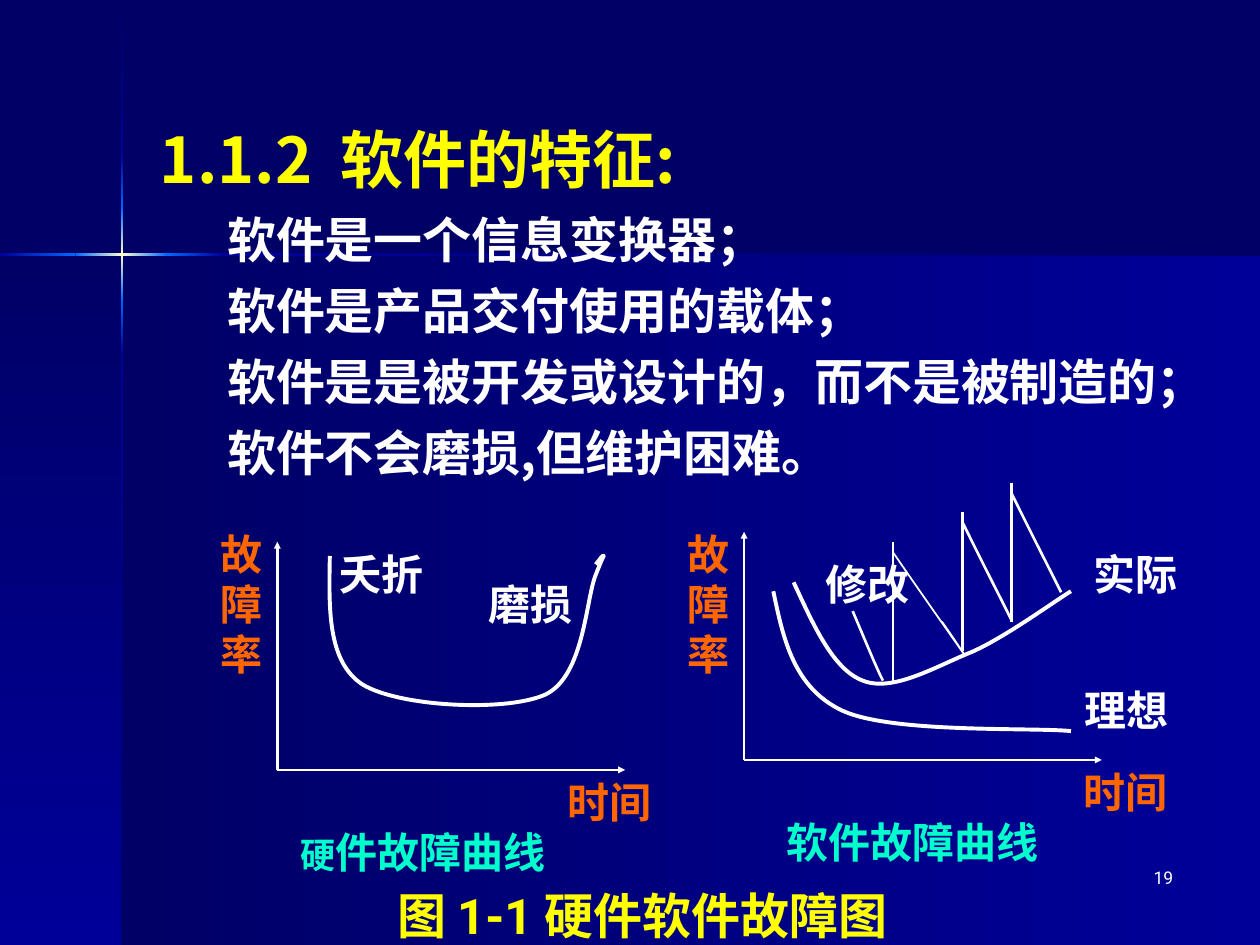
from lxml import etree
from pptx import Presentation
from pptx.dml.color import RGBColor
from pptx.enum.shapes import MSO_CONNECTOR, MSO_SHAPE
from pptx.enum.text import MSO_ANCHOR, PP_ALIGN
from pptx.oxml.ns import qn
from pptx.util import Cm, Pt

STRAIGHT = MSO_CONNECTOR.STRAIGHT
RECTANGLE = MSO_SHAPE.RECTANGLE
TOP = MSO_ANCHOR.TOP
LEFT, CENTER, RIGHT = PP_ALIGN.LEFT, PP_ALIGN.CENTER, PP_ALIGN.RIGHT

NAVY = RGBColor(0x00, 0x00, 0x66)
BLUE = RGBColor(0x00, 0x00, 0x99)
BRIGHT = RGBColor(0x00, 0x66, 0xFF)
CREAM = RGBColor(0xFF, 0xFF, 0xCC)
WHITE = RGBColor(0xFF, 0xFF, 0xFF)
YELLOW = RGBColor(0xFF, 0xFF, 0x00)
ORANGE = RGBColor(0xFF, 0x66, 0x00)
TEAL = RGBColor(0x00, 0xFF, 0xCC)

LATIN = "Roboto"
CJK = "Noto Sans CJK JP"
HEADING = "Noto Sans CJK SC"
LINE_PITCH = 1.2
WIDTH, HEIGHT = 25.4, 19.05


def write_text(sp, box, text, size=24, color=WHITE, bold=True, align=LEFT,
               latin=LATIN, east_asian=CJK, gap=0, wrap=True):
    sp.left, sp.top, sp.width, sp.height = (Cm(v) for v in box)
    tf = sp.text_frame
    tf.word_wrap = wrap
    tf.vertical_anchor = TOP
    for i, line in enumerate(text.split("\n")):
        p = tf.paragraphs[0] if i == 0 else tf.add_paragraph()
        p.alignment = align
        p.line_spacing = Pt(size * LINE_PITCH)
        p.space_before = Pt(gap if i else 0)
        add_run(p, line, size, color, bold, latin, east_asian)
    return sp


def add_run(p, text, size, color, bold, latin, east_asian):
    r = p.add_run()
    r.text = text
    r.font.size = Pt(size)
    r.font.bold = bold
    r.font.color.rgb = color
    r.font.name = latin
    ea = etree.SubElement(r.font._element, qn("a:ea"))
    ea.set("typeface", east_asian)


def add_text(s, left, top, width, text, height=1.27, **style):
    sp = s.shapes.add_textbox(0, 0, 0, 0)
    return write_text(sp, (left, top, width, height), text, **style)


def add_line(s, start, end, arrow=False):
    line = s.shapes.add_connector(STRAIGHT, *(Cm(v) for v in (*start, *end)))
    line.line.color.rgb = WHITE
    line.line.width = Pt(1.5)
    if arrow:
        tail = etree.SubElement(line.line._get_or_add_ln(), qn("a:tailEnd"))
        for name, value in (("type", "triangle"), ("w", "sm"), ("len", "sm")):
            tail.set(name, value)
    etree.SubElement(line._element.spPr, qn("a:effectLst"))


def add_curve(s, box, points, weight=1.5):
    placed = [(Cm(box[0] + x), Cm(box[1] + y)) for x, y in points]
    builder = s.shapes.build_freeform(*placed[0])
    builder.add_line_segments(placed[1:], close=False)
    sp = builder.convert_to_shape()
    segments = list(sp._element.iter(qn("a:lnTo")))
    for i in range(0, len(segments), 3):
        bezier = etree.Element(qn("a:cubicBezTo"))
        segments[i].addprevious(bezier)
        for segment in segments[i:i + 3]:
            bezier.append(segment[0])
            segment.getparent().remove(segment)
    sp.fill.background()
    sp.line.color.rgb = WHITE
    sp.line.width = Pt(weight)
    sp.shadow.inherit = False


def add_gradient(s, box, first, last, angle):
    sp = s.shapes.add_shape(RECTANGLE, *(Cm(v) for v in box))
    sp.shadow.inherit = False
    sp.line.fill.background()
    sp.fill.gradient()
    sp.fill.gradient_angle = angle
    for stop, color in zip(sp.fill.gradient_stops, (first, last)):
        stop.color.rgb = color


def draw_backdrop(s, box):
    left, top, width, height = box
    cross_x, cross_y, beam = 2.46, 5.13, 0.05
    add_gradient(s, (left + cross_x, top + cross_y, width - cross_x, height - cross_y),
                 NAVY, BLUE, 0)
    add_gradient(s, (left, top + cross_y, cross_x, height - cross_y), NAVY, BLUE, 270)
    colors = [NAVY, BLUE, BRIGHT, CREAM, BRIGHT, BLUE, NAVY]
    down = [0, 3.07, 4.19, cross_y, 6.05, 7.16, height]
    across = [0, 1.52, cross_x, 3.38, 4.5, width]
    for a, b, first, last in zip(down, down[1:], colors, colors[1:]):
        add_gradient(s, (left + cross_x - beam / 2, top + a, beam, b - a), first, last, 270)
    for a, b, first, last in zip(across, across[1:], colors[1:], colors[2:]):
        add_gradient(s, (left + a, top + cross_y - beam / 2, b - a, beam), first, last, 0)


def draw_heading(s, box):
    left, top, width, height = box
    title = s.shapes.title
    s.shapes._spTree.append(title._element)
    write_text(title, (left, top, width, 1.8), "1.1.2  软件的特征:", size=36,
               color=YELLOW, latin=HEADING, east_asian=HEADING)
    features = "\n".join([
        "软件是一个信息变换器；",
        "软件是产品交付使用的载体；",
        "软件是是被开发或设计的，而不是被制造的；",
        "软件不会磨损,但维护困难。",
    ])
    add_text(s, left + 1.36, top + 1.78, width - 1.36, features, height=height - 1.78,
             size=28, latin=CJK, gap=7)


def draw_axes(s, box, origin, length, rise=4.6):
    x, y = box[0] + origin[0], box[1] + origin[1]
    add_line(s, (x, y), (x, y - rise), arrow=True)
    add_line(s, (x, y), (x + length, y), arrow=True)


def draw_labels(s, box, labels):
    for x, y, width, text, color in labels:
        add_text(s, box[0] + x, box[1] + y, width, text, color=color)


def draw_hardware_plot(s, box):
    draw_axes(s, box, (1.4, 5), 7.01)
    add_curve(s, box, [
        (2.46, 0.69), (2.44, 1.75), (2.41, 2.82), (3.12, 3.28),
        (3.86, 3.73), (6.02, 3.84), (6.81, 3.48),
        (7.59, 3.1), (7.62, 1.55), (7.82, 1.07),
        (8, 0.61), (7.98, 0.71), (7.98, 0.69),
        (7.98, 0.64), (7.9, 0.76), (7.82, 0.86)], weight=2.25)
    add_text(s, box[0], box[1], 1.47, "故障率", height=3.3, color=ORANGE, latin=CJK)
    draw_labels(s, box, [
        (7.01, 5, 3.81, "时间", ORANGE),
        (2.41, 0.41, 2.9, "夭折", WHITE),
        (5.41, 1.02, 2.41, "磨损", WHITE)])
    caption = add_text(s, box[0] + 1.62, box[1] + 6.02, 7.59, "硬", color=TEAL)
    p = caption.text_frame.paragraphs[0]
    p.runs[0].font.size = Pt(20)
    add_run(p, "件故障曲线", 24, TEAL, True, CJK, CJK)


def draw_software_plot(s, box):
    draw_axes(s, box, (1.39, 4.8), 7.21)
    add_curve(s, box, [
        (2.39, 1.22), (2.79, 2.08), (3.18, 2.97), (3.78, 3.2),
        (4.39, 3.45), (5.28, 2.9), (5.99, 2.62),
        (6.68, 2.31), (7.65, 1.6), (7.98, 1.4)], weight=2.25)
    add_curve(s, box, [
        (1.98, 1.4), (2.18, 2.36), (2.39, 3.35), (3.38, 3.81),
        (4.39, 4.27), (7.21, 4.14), (7.98, 4.22)], weight=2.25)
    for x, y in [(4.39, 0.4), (5.79, -0.2), (6.78, -0.79)]:
        add_line(s, (box[0] + x, box[1] + y), (box[0] + x, box[1] + y + 2.8))
    add_curve(s, box, [(3.58, 1.8), (3.84, 2.41), (4.09, 3.02), (4.19, 3.2)])
    add_curve(s, box, [
        (4.39, 0.61), (5, 1.5), (5.61, 2.36), (5.79, 2.62),
        (5.94, 2.84), (5.66, 2.41), (5.38, 2.01)], weight=1)
    for x, y in [(5.79, 0), (6.78, -0.58)]:
        add_curve(s, box, [(x + dx, y + dy) for dx, dy in
                           [(0, 0), (0.41, 0.84), (0.84, 1.67), (1, 2)]])
    add_text(s, box[0], box[1], 1.35, "故\n障\n率", height=3.3, color=ORANGE,
             latin=CJK, wrap=False)
    draw_labels(s, box, [
        (7.98, 4.8, 2.41, "时间", ORANGE),
        (2.79, 0.61, 4.19, "修改", WHITE),
        (8.18, 0.41, 3.6, "实际", WHITE),
        (8, 3.15, 2.41, "理想", WHITE),
        (2, 5.82, 8.61, "软件故障曲线", TEAL)])


def main():
    prs = Presentation()
    prs.slide_width, prs.slide_height = Cm(WIDTH), Cm(HEIGHT)
    s = prs.slides.add_slide(prs.slide_layouts[5])
    s.background.fill.solid()
    s.background.fill.fore_color.rgb = NAVY
    draw_backdrop(s, (0, 0, WIDTH, HEIGHT))
    draw_heading(s, (2.97, 2.31, 22.43, 8))
    draw_hardware_plot(s, (4.19, 10.52))
    draw_software_plot(s, (13.61, 10.52))
    add_text(s, 4.5, 17.73, 16.89, "图 1-1 硬件软件故障图", size=28, color=YELLOW,
             align=CENTER)
    add_text(s, 18.62, 17.35, 5.28, "19", size=10, bold=False, align=RIGHT)
    prs.save("out.pptx")


if __name__ == "__main__":
    main()
